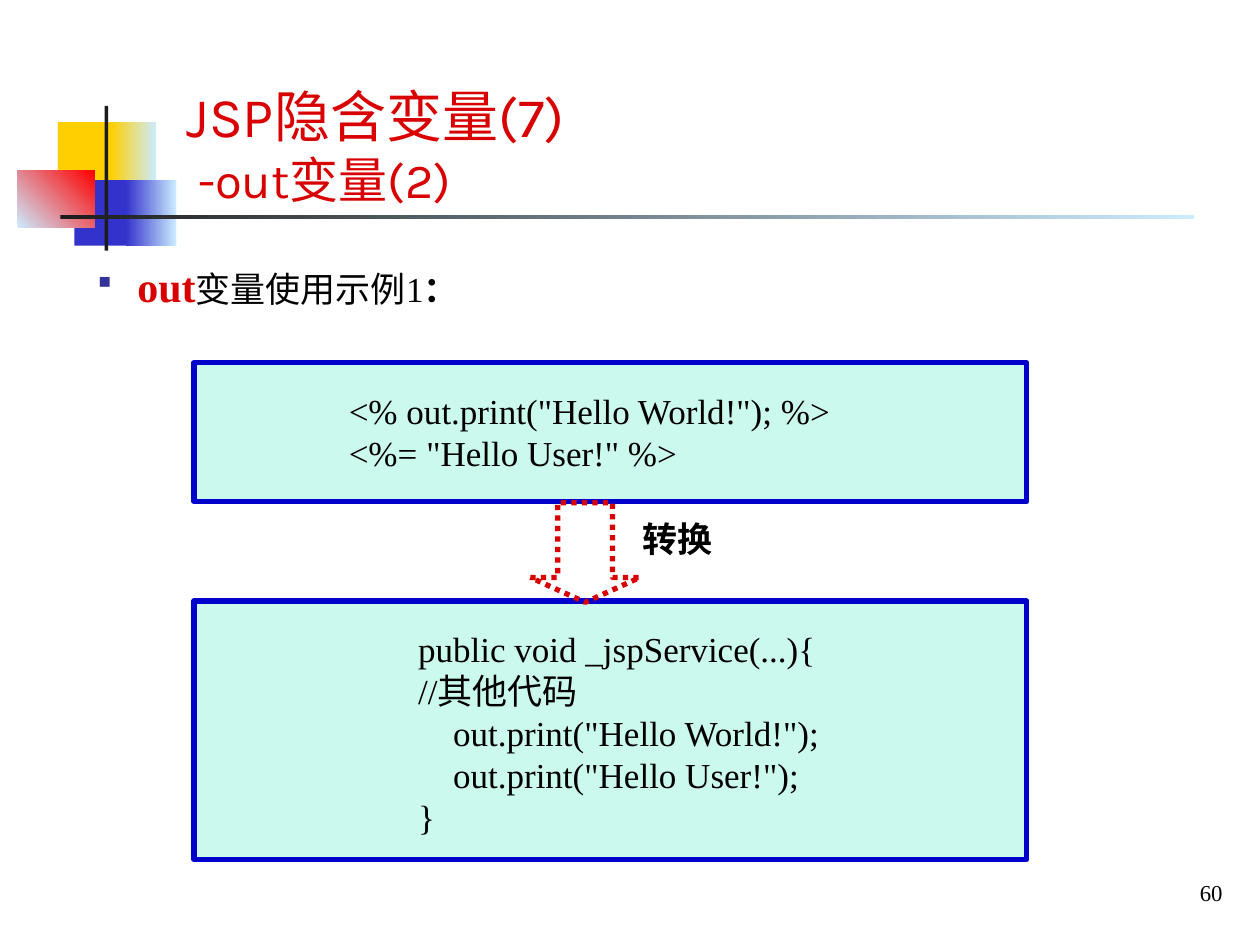
import pptx
import pptx.util
import pptx.dml.color
import pptx.enum.dml
import pptx.enum.shapes
import pptx.enum.text
from lxml import etree
from pptx.util import Inches, Pt
from pptx.dml.color import RGBColor
from pptx.enum.shapes import MSO_SHAPE
from pptx.enum.text import MSO_ANCHOR, MSO_AUTO_SIZE, PP_ALIGN

YELLOW = RGBColor(0xFF, 0xCF, 0x01)
BLUE = RGBColor(0x33, 0x33, 0xCC)
PALE_BLUE = RGBColor(0xCC, 0xEC, 0xFF)
BRIGHT_RED = RGBColor(0xFF, 0x00, 0x00)
CHARCOAL = RGBColor(0x1C, 0x1C, 0x1C)
MINT = RGBColor(0x00, 0xE4, 0xA8)
FRAME_BLUE = RGBColor(0x00, 0x00, 0xCC)
RED = RGBColor(0xD8, 0x00, 0x00)
BLACK = RGBColor(0x00, 0x00, 0x00)
SERIF = "Times New Roman"

prs = pptx.Presentation()
prs.slide_width, prs.slide_height = Inches(10), Inches(7.5)
slide = prs.slides.add_slide(prs.slide_layouts[1])


def add_plain_shape(kind, left, top, width, height):
    shape = slide.shapes.add_shape(
        kind, Inches(left), Inches(top), Inches(width), Inches(height))
    shape.shadow.inherit = False
    shape.line.fill.background()
    return shape


def add_text(left, top, width, height, lines, size=20, bold=False,
             indent=0, align=PP_ALIGN.LEFT):
    box = slide.shapes.add_textbox(
        Inches(left), Inches(top), Inches(width), Inches(height))
    frame = box.text_frame
    frame.word_wrap = True
    frame.text = "\n".join(lines)
    for paragraph in frame.paragraphs:
        paragraph.alignment = align
        if indent:
            paragraph._p.get_or_add_pPr().set("marL", str(Inches(indent)))
        for run in paragraph.runs:
            run.font.name, run.font.size = SERIF, Pt(size)
            run.font.bold, run.font.color.rgb = bold, BLACK
    return frame


# Corner ornament: left, top, width, height, start colour, end colour, angle
ornament = [
    (0.46, 0.97, 0.48, 0.52, YELLOW, None, 0),
    (0.88, 0.97, 0.36, 0.52, YELLOW, PALE_BLUE, 0),
    (0.59, 1.43, 0.46, 0.52, BLUE, None, 0),
    (1.0, 1.43, 0.4, 0.52, BLUE, PALE_BLUE, 0),
    (0.14, 1.35, 0.61, 0.46, PALE_BLUE, BRIGHT_RED, 45),
    (0.83, 0.84, 0.03, 1.15, CHARCOAL, None, 0),
    (0.48, 1.71, 9, 0.03, CHARCOAL, PALE_BLUE, 0),
]
for left, top, width, height, start, end, angle in ornament:
    block = add_plain_shape(MSO_SHAPE.RECTANGLE, left, top, width, height)
    if end is None:
        block.fill.solid()
        block.fill.fore_color.rgb = start
    else:
        block.fill.gradient()
        block.fill.gradient_angle = angle
        for stop, color in zip(block.fill.gradient_stops, (start, end)):
            stop.color.rgb = color

# Title
title = slide.shapes.title
title.left, title.top = Inches(1.38), Inches(0.52)
title.width, title.height = Inches(7.32), Inches(1.18)
title.text_frame.auto_size = MSO_AUTO_SIZE.NONE
title.text_frame.vertical_anchor = MSO_ANCHOR.BOTTOM
title.text_frame.text = "JSP隐含变量(7)\v -out变量(2)"
heading = title.text_frame.paragraphs[0]
heading.alignment = PP_ALIGN.LEFT
for run, size in zip(heading.runs, (32, 28)):
    run.font.name, run.font.size = "Karla", Pt(size)
    run.font.color.rgb = RED

# Bullet line
body = slide.placeholders[1]
body.left, body.top = Inches(0.67), Inches(2.02)
body.width, body.height = Inches(8.98), Inches(0.87)
body.text_frame.auto_size = MSO_AUTO_SIZE.NONE
example = body.text_frame.paragraphs[0]
example.space_before = Pt(0)
properties = example._p.get_or_add_pPr()
properties.set("marL", str(Inches(0.32)))
properties.set("indent", str(Inches(-0.32)))
ns = pptx.oxml.ns.qn
bullet_color = etree.SubElement(properties, ns("a:buClr"))
etree.SubElement(bullet_color, ns("a:srgbClr"), val="333399")
etree.SubElement(properties, ns("a:buSzPct"), val="80000")
etree.SubElement(properties, ns("a:buFont"), typeface="Wingdings")
etree.SubElement(properties, ns("a:buChar"), char="§")
for words, size, color, bold in [("out", 24, RED, True),
                                 ("变量使用示例1", 20, BLACK, False),
                                 ("：", 20, BLACK, True)]:
    run = example.add_run()
    run.text = words
    run.font.name, run.font.size = SERIF, Pt(size)
    run.font.color.rgb, run.font.bold = color, bold

# Code frames
for top, height in [(4.77, 2.05), (2.88, 1.1)]:
    frame = add_plain_shape(MSO_SHAPE.RECTANGLE, 1.54, top, 6.61, height)
    frame.fill.solid()
    frame.fill.fore_color.rgb = MINT
    tint = frame.fill._xPr.find(".//" + ns("a:srgbClr"))
    etree.SubElement(tint, ns("a:alpha"), val="20000")
    frame.line.color.rgb = FRAME_BLUE
    frame.line.width = Pt(3)

add_text(2.17, 3.04, 5, 0.77, [
    '<% out.print("Hello World!"); %>',
    '<%= "Hello User!" %>',
], indent=0.5)
add_text(2.72, 4.93, 4.57, 1.77, [
    "public void _jspService(...){",
    "//其他代码",
    '    out.print("Hello World!");',
    '    out.print("Hello User!");',
    "}",
], indent=0.5)

# Conversion arrow and its label
arrow = add_plain_shape(MSO_SHAPE.DOWN_ARROW, 4.21, 3.99, 0.87, 0.79)
arrow.adjustments[0], arrow.adjustments[1] = 0.5, 0.25
arrow.fill.background()
arrow.line.color.rgb = RED
arrow.line.width = Pt(3)
arrow.line.dash_style = pptx.enum.dml.MSO_LINE.ROUND_DOT
add_text(5, 4.06, 0.76, 0.43, ["转换"], bold=True).word_wrap = False

# Slide number
number = add_text(7.89, 6.9, 1.91, 0.37, ["60"], size=13, align=PP_ALIGN.RIGHT)
number.vertical_anchor = MSO_ANCHOR.MIDDLE

prs.save("out.pptx")
